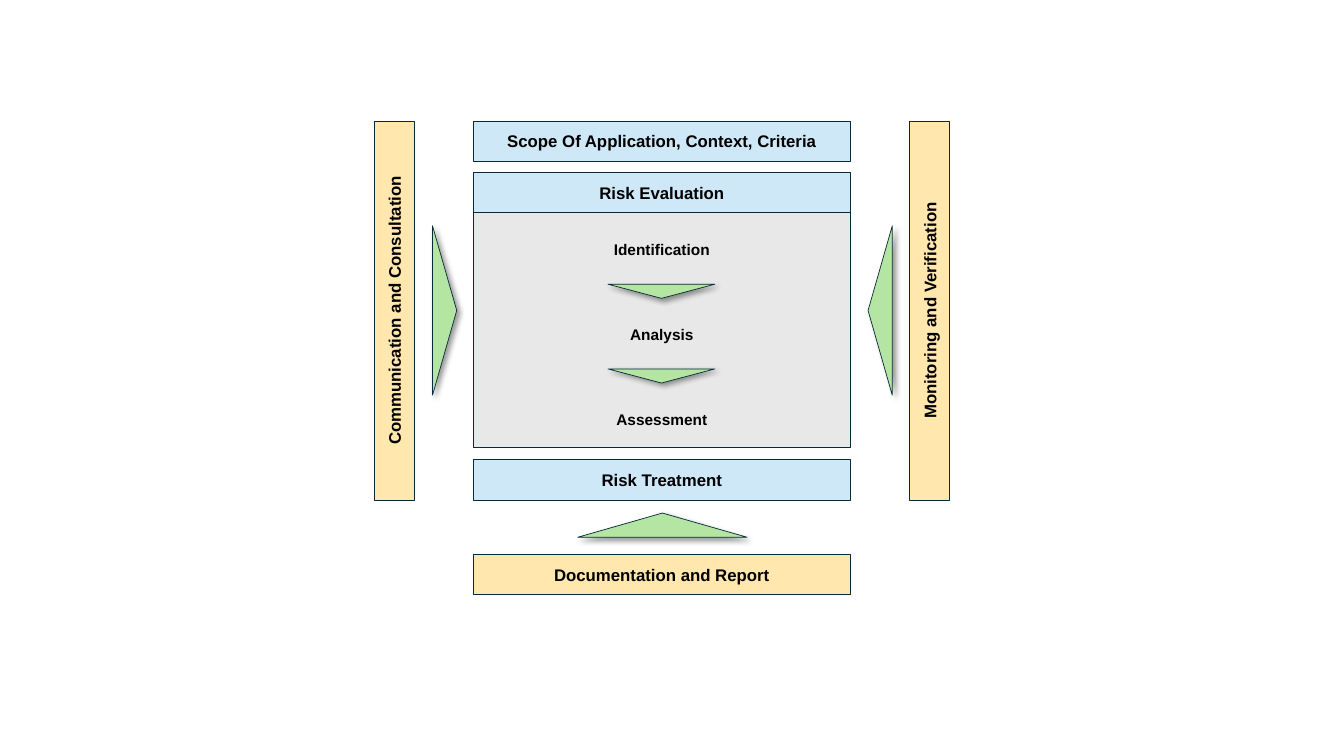
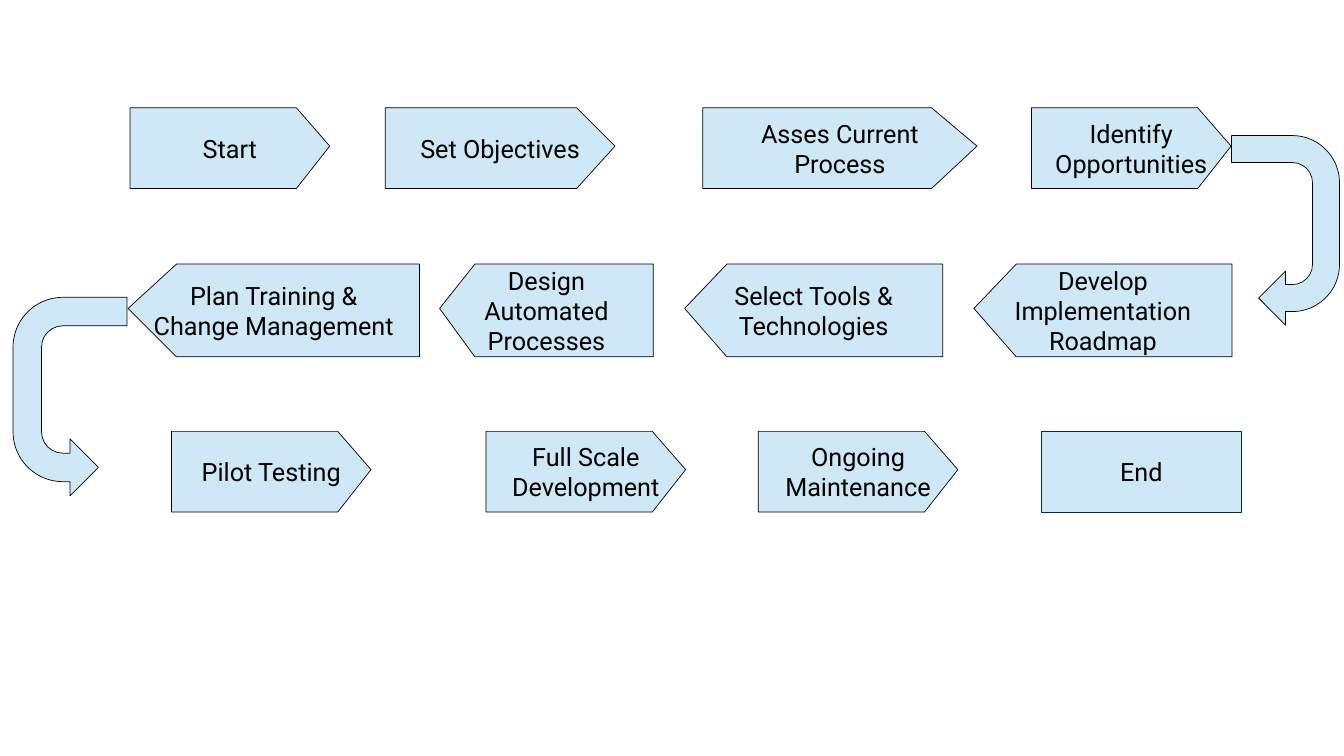
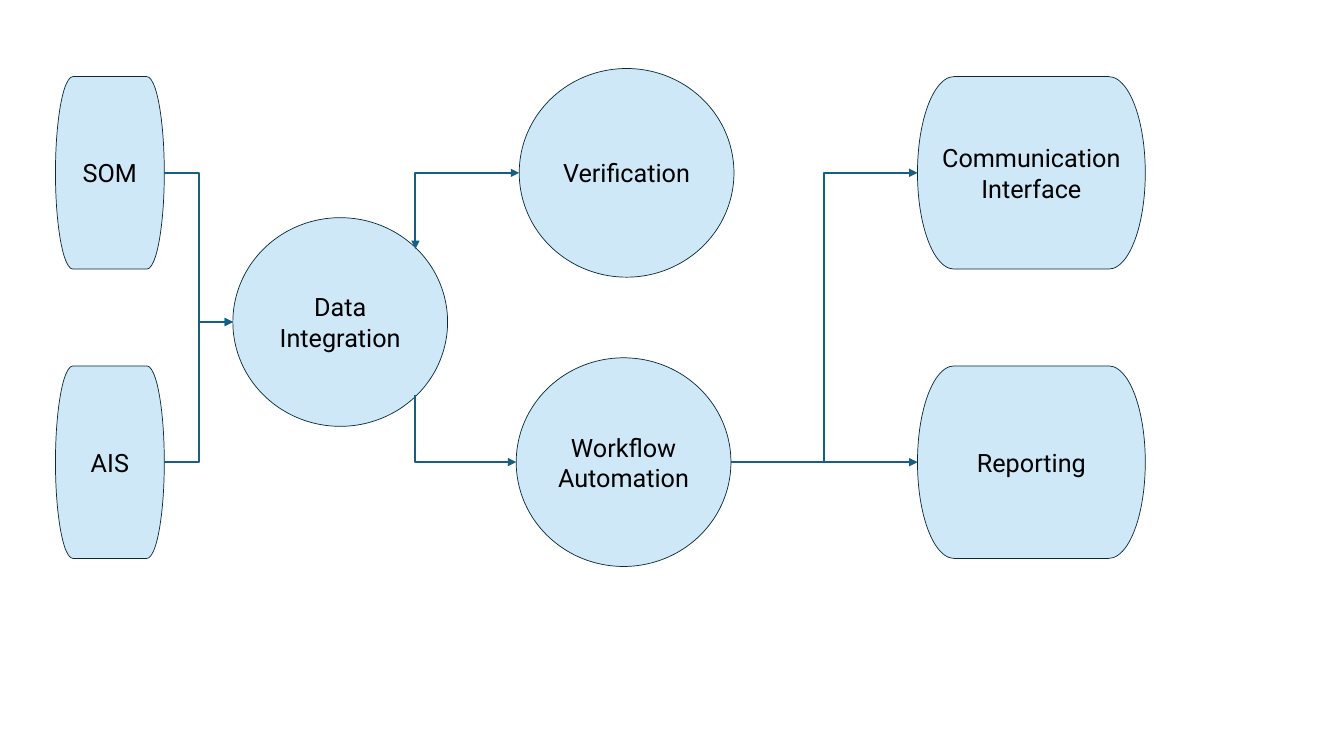
import lxml.etree
import pptx
import pptx.dml.color
import pptx.enum.shapes
import pptx.enum.text
import pptx.oxml.ns
import pptx.util

RGBColor = pptx.dml.color.RGBColor
MSO_SHAPE = pptx.enum.shapes.MSO_SHAPE
qn = pptx.oxml.ns.qn

SCALE = 9144  # EMU per px, 100 px to the inch
BLUE = RGBColor(0xCE, 0xE8, 0xF7)
YELLOW = RGBColor(0xFF, 0xE7, 0xAD)
GREEN = RGBColor(0xB4, 0xE5, 0xA2)
GREY = RGBColor(0xE8, 0xE8, 0xE8)
NAVY = RGBColor(0x09, 0x2A, 0x39)
TEAL = RGBColor(0x15, 0x60, 0x82)
BLACK = RGBColor(0, 0, 0)


def add_preset(slide, preset, left, top, width, height, rotation=0):
    shape = slide.shapes.add_shape(preset, left * SCALE, top * SCALE, width * SCALE, height * SCALE)
    shape.rotation = rotation
    return shape


def dress(shape, fill=BLUE, outline=NAVY, text="", font="Roboto", size=18, bold=False):
    """Set fill, thin outline and centred text, one paragraph per line."""
    shape.shadow.inherit = False
    shape.fill.solid()
    shape.fill.fore_color.rgb = fill
    shape.line.color.rgb = outline
    shape.line.width = pptx.util.Pt(0.5)
    frame = shape.text_frame
    frame.word_wrap = True
    frame.vertical_anchor = pptx.enum.text.MSO_ANCHOR.MIDDLE
    if text:
        frame.text = text
        for paragraph in frame.paragraphs:
            paragraph.alignment = pptx.enum.text.PP_ALIGN.CENTER
            paragraph.font.name = font
            paragraph.font.size = pptx.util.Pt(size)
            paragraph.font.bold = bold
            paragraph.font.color.rgb = BLACK
    return shape


deck = pptx.Presentation()
deck.slide_width = 1333 * SCALE
deck.slide_height = 750 * SCALE
blank = deck.slide_layouts[6]

# Risk management process
risk_slide = deck.slides.add_slide(blank)
evaluation = add_preset(risk_slide, MSO_SHAPE.FLOWCHART_PROCESS, 470, 211, 373, 233)
dress(evaluation, GREY, text="Identification\nAnalysis\nAssessment", font="Arial", size=11, bold=True)
for number, paragraph in enumerate(evaluation.text_frame.paragraphs):
    paragraph.line_spacing = 1.5
    paragraph.space_before = pptx.util.Pt(41 if number else 0)

for left, top, width, rotation, fill, title in [
    (470, 171, 373, 0, BLUE, "Risk Evaluation"),
    (470, 120, 373, 0, BLUE, "Scope Of Application, Context, Criteria"),
    (470, 456, 373, 0, BLUE, "Risk Treatment"),
    (203, 288, 376, 270, YELLOW, "Communication and Consultation"),
    (734, 288, 376, 270, YELLOW, "Monitoring and Verification"),
    (470, 550, 373, 0, YELLOW, "Documentation and Report"),
]:
    bar = add_preset(risk_slide, MSO_SHAPE.FLOWCHART_PROCESS, left, top, width, 40, rotation)
    dress(bar, fill, text=title, font="Arial", size=12, bold=True)

for left, top, width, height, rotation in [
    (357, 296, 168, 24, 90),
    (789, 296, 168, 24, 270),
    (603, 282, 106, 14, 180),
    (603, 366, 106, 14, 180),
    (573, 509, 168, 24, 0),
]:
    pointer = add_preset(risk_slide, MSO_SHAPE.FLOWCHART_EXTRACT, left, top, width, height, rotation)
    dress(pointer, GREEN)
    effects = pointer._element.spPr.find(qn("a:effectLst"))
    shadow = lxml.etree.SubElement(effects, qn("a:outerShdw"), blurRad="50800", dist="38100",
                                   dir="2700000", algn="tl", rotWithShape="0")
    shadow_color = lxml.etree.SubElement(shadow, qn("a:srgbClr"), val="000000")
    lxml.etree.SubElement(shadow_color, qn("a:alpha"), val="40000")

# Automation roadmap: rows of (top, height, direction, steps)
roadmap_slide = deck.slides.add_slide(blank)
for top, height, direction, steps in [
    (107, 80, 1, [(129, 198, "Start"), (382, 228, "Set Objectives"),
                  (697, 272, "Asses Current Process"), (1023, 198, "Identify Opportunities")]),
    (262, 92, -1, [(966, 256, "Develop Implementation Roadmap"),
                   (679, 256, "Select Tools & Technologies"),
                   (436, 212, "Design Automated Processes"),
                   (127, 289, "Plan Training &\nChange Management")]),
    (428, 80, 1, [(170, 198, "Pilot Testing"), (482, 198, "Full Scale Development"),
                  (752, 198, "Ongoing Maintenance")]),
]:
    for left, width, title in steps:
        tail = left if direction > 0 else left + width
        tip = tail + direction * width
        shoulder = tip - direction * round(width * 0.165)
        bottom = top + height
        outline = roadmap_slide.shapes.build_freeform(tail, top, scale=SCALE)
        outline.add_line_segments([(shoulder, top), (tip, top + round(height * 0.48)),
                                   (shoulder, bottom), (tail, bottom)], close=True)
        step = dress(outline.convert_to_shape(), outline=BLACK, text=title)
        step.text_frame.margin_left = step.text_frame.margin_right = 14 * SCALE

dress(add_preset(roadmap_slide, MSO_SHAPE.FLOWCHART_PROCESS, 1033, 428, 198, 80), text="End")
right_turn = add_preset(roadmap_slide, MSO_SHAPE.U_TURN_ARROW, 1181, 175, 188, 107, 90)
left_turn = add_preset(roadmap_slide, MSO_SHAPE.U_TURN_ARROW, -29, 337, 197, 113, 90)
left_turn._element.spPr.find(qn("a:xfrm")).set("flipV", "1")
for turn in (right_turn, left_turn):
    dress(turn, outline=BLACK)

# Data flow
flow_slide = deck.slides.add_slide(blank)
nodes = {}
for preset, left, top, width, height, title in [
    (MSO_SHAPE.FLOWCHART_TERMINATOR, 55, 363, 108, 191, "AIS"),
    (MSO_SHAPE.FLOWCHART_TERMINATOR, 55, 76, 108, 191, "SOM"),
    (MSO_SHAPE.OVAL, 231, 216, 213, 207, "Data Integration"),
    (MSO_SHAPE.OVAL, 515, 68, 213, 207, "Verification"),
    (MSO_SHAPE.OVAL, 512, 355, 213, 207, "Workflow Automation"),
    (MSO_SHAPE.FLOWCHART_TERMINATOR, 910, 76, 226, 191, "Communication Interface"),
    (MSO_SHAPE.FLOWCHART_TERMINATOR, 910, 363, 226, 191, "Reporting"),
]:
    nodes[title] = dress(add_preset(flow_slide, preset, left, top, width, height), text=title)

# Connection sites: index, then share of width and height
BOX_LEFT, BOX_RIGHT = (1, 0, 0.5), (3, 1, 0.5)
OVAL_LEFT, OVAL_RIGHT = (2, 0, 0.5), (6, 1, 0.5)
OVAL_LOWER_RIGHT, OVAL_UPPER_RIGHT = (5, 0.85, 0.85), (7, 0.85, 0.15)

for source, source_site, target, target_site, bend, arrowheads in [
    ("AIS", BOX_RIGHT, "Data Integration", OVAL_LEFT, "bentConnector3", ["tailEnd"]),
    ("SOM", BOX_RIGHT, "Data Integration", OVAL_LEFT, "bentConnector3", ["tailEnd"]),
    ("Verification", OVAL_LEFT, "Data Integration", OVAL_UPPER_RIGHT, "bentConnector2",
     ["headEnd", "tailEnd"]),
    ("Workflow Automation", OVAL_LEFT, "Data Integration", OVAL_LOWER_RIGHT, "bentConnector2",
     ["headEnd"]),
    ("Workflow Automation", OVAL_RIGHT, "Communication Interface", BOX_LEFT, "bentConnector3",
     ["tailEnd"]),
    ("Workflow Automation", OVAL_RIGHT, "Reporting", BOX_LEFT, "bentConnector3", ["tailEnd"]),
]:
    ends = [("a:stCxn", nodes[source], source_site), ("a:endCxn", nodes[target], target_site)]
    points = []
    for tag, node, (index, across, down) in ends:
        points += [round(node.left + node.width * across), round(node.top + node.height * down)]
    link = flow_slide.shapes.add_connector(pptx.enum.shapes.MSO_CONNECTOR.ELBOW, *points)
    for tag, node, (index, across, down) in ends:
        lxml.etree.SubElement(link._element.nvCxnSpPr.cNvCxnSpPr, qn(tag),
                              id=str(node.shape_id), idx=str(index))
    link.line.color.rgb = TEAL
    link.line.width = pptx.util.Pt(1.5)
    properties = link._element.spPr
    properties.find(qn("a:prstGeom")).set("prst", bend)
    for arrowhead in arrowheads:
        lxml.etree.SubElement(properties.find(qn("a:ln")), qn("a:" + arrowhead), type="triangle")
    lxml.etree.SubElement(properties, qn("a:effectLst"))

deck.save("out.pptx")
